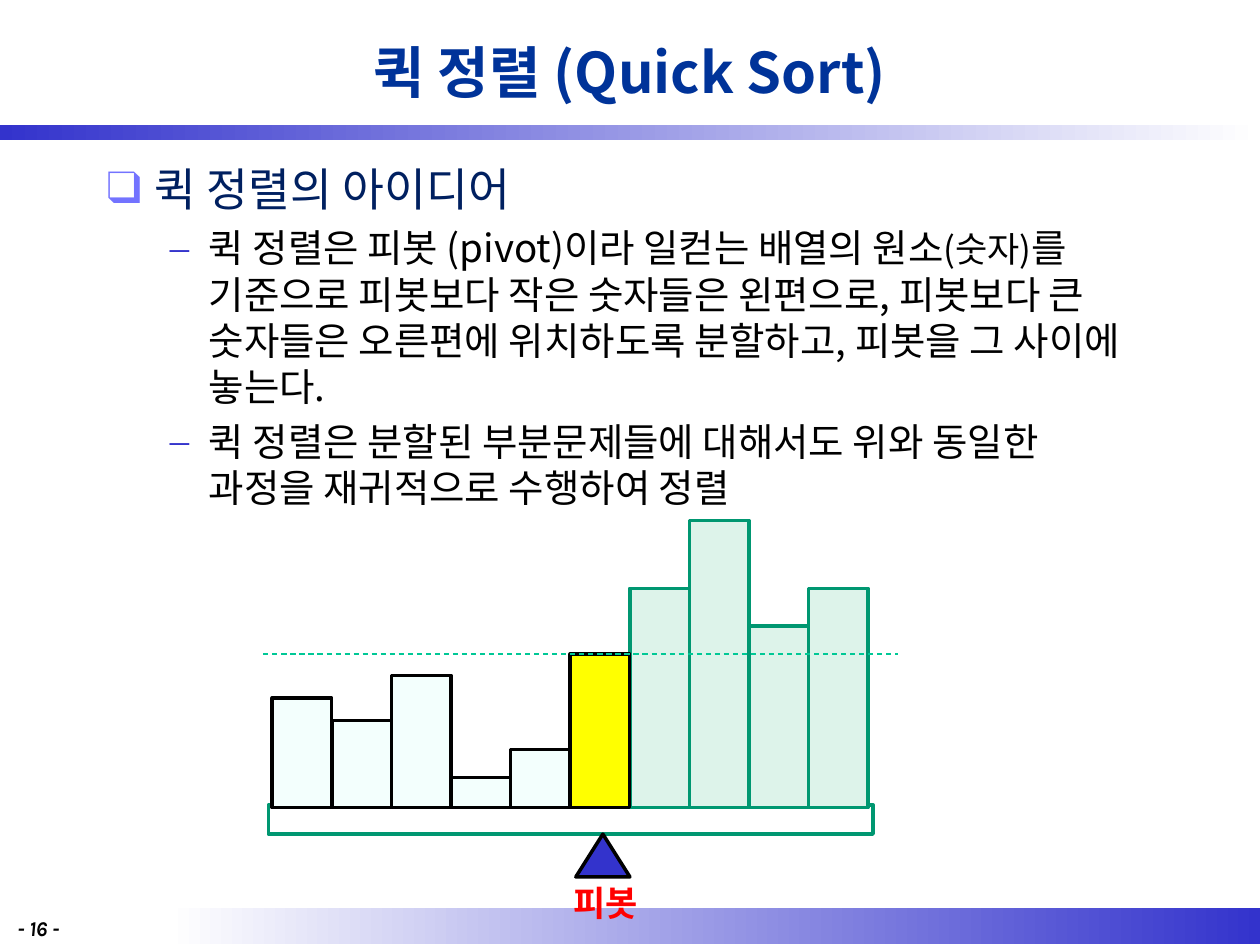
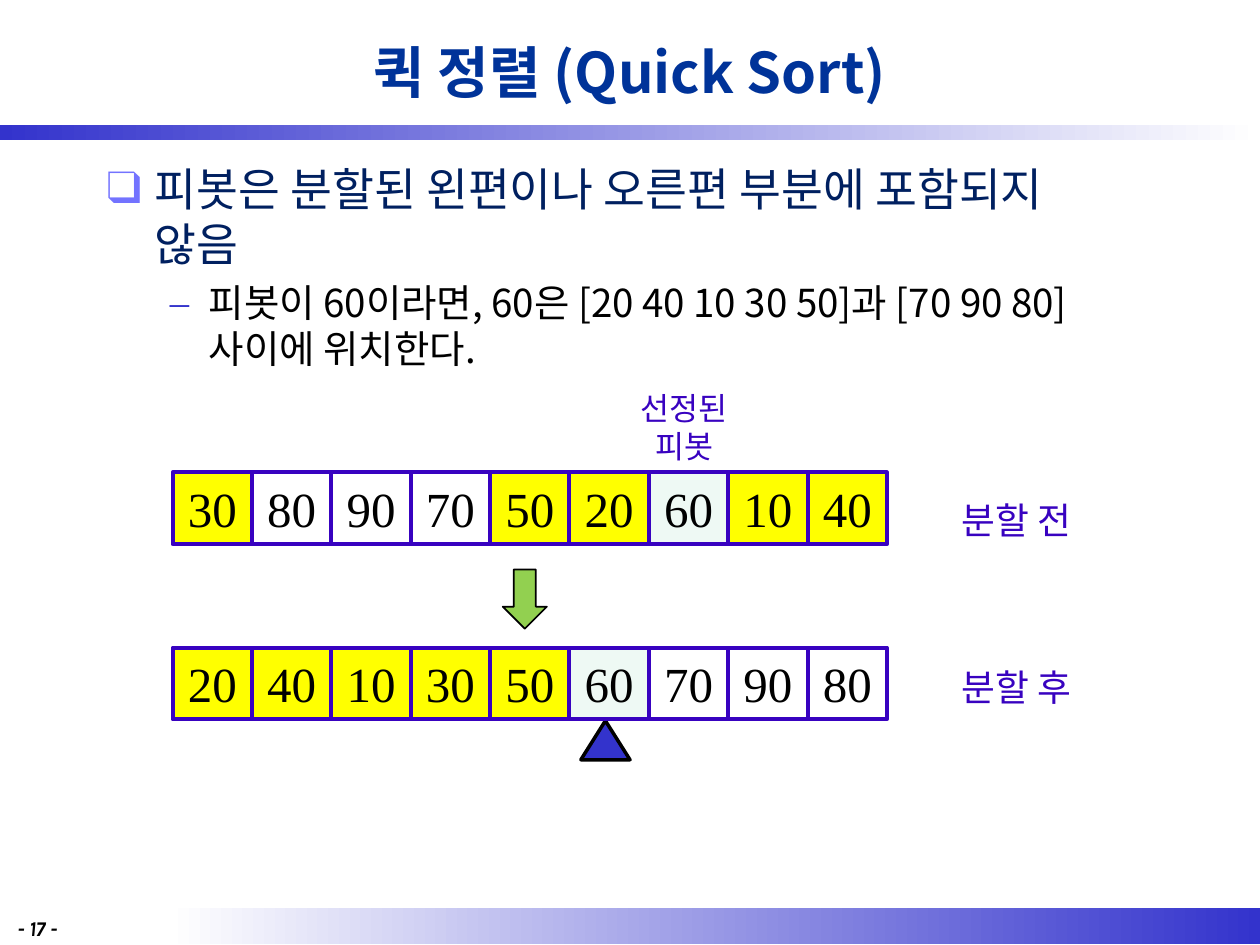
from dataclasses import dataclass
from typing import NamedTuple

from lxml.etree import SubElement
from pptx import Presentation
from pptx.dml.color import RGBColor
from pptx.enum.dml import MSO_LINE
from pptx.enum.shapes import MSO_CONNECTOR, MSO_SHAPE as Geom
from pptx.enum.text import MSO_ANCHOR as Anchor, PP_ALIGN as Align
from pptx.oxml.ns import qn
from pptx.util import Inches, Pt


@dataclass(frozen=True)
class Theme:
    sans: str = "Noto Sans CJK KR"
    serif: str = "Times New Roman"
    foot: str = "Karla"
    black: str = "000000"
    white: str = "FFFFFF"
    blue: str = "3333CC"
    title: str = "003399"
    navy: str = "002060"
    box: str = "7373FF"
    red: str = "FF0000"
    yellow: str = "FFFF00"
    violet: str = "3802C0"
    pale: str = "EEF9F4"
    ice: str = "F3FFFD"
    mint: str = "DDF3EA"
    green: str = "009771"
    dash: str = "00C896"
    arrow: str = "92D050"
    title_pt: float = 32
    head_pt: float = 26
    body_pt: float = 22
    cell_pt: float = 28
    side_pt: float = 21
    small_pt: float = 20
    label_pt: float = 18
    foot_pt: float = 12


T = Theme()


class Box(NamedTuple):
    x: float
    y: float
    w: float
    h: float

    def emu(self) -> list:
        return [Inches(v) for v in self]


class Style(NamedTuple):
    size: float
    color: str
    face: str = T.sans
    bold: bool = False
    italic: bool = False


class Level(NamedTuple):
    left: float
    hang: float
    mark: str
    tint: str
    style: Style


class Item(NamedTuple):
    """A bullet; text in `small` is set one size down."""
    level: int
    text: str
    small: str = ""


class Bar(NamedTuple):
    height: float
    fill: str
    line: str


class Row(NamedTuple):
    top: float
    values: list
    label: str
    label_y: float


LEVELS = [
    Level(0.38, 0.38, "❑", T.box, Style(T.head_pt, T.navy)),
    Level(0.81, 0.31, "–", T.blue, Style(T.body_pt, T.black)),
]
SIDE = Style(T.side_pt, T.violet, T.serif)
CELL = Style(T.cell_pt, T.black, T.serif)

LOW = [Bar(h, T.ice, T.black) for h in (0.87, 0.69, 1.05, 0.24, 0.46)]
MID = [Bar(1.22, T.yellow, T.black)]
HIGH = [Bar(h, T.mint, T.green) for h in (1.74, 2.28, 1.44, 1.74)]
BASE, BAR_X, BAR_W = 6.41, 2.16, 0.473

PIVOT = 60
CELL_X, CELL_W, CELL_H = 1.37, 0.63, 0.57
ROWS = [
    Row(3.75, [30, 80, 90, 70, 50, 20, 60, 10, 40], "분할 전", 3.9),
    Row(5.14, [20, 40, 10, 30, 50, 60, 70, 90, 80], "분할 후", 5.23),
]


def rgb(code: str) -> RGBColor:
    return RGBColor.from_string(code)


def set_font(para, style: Style) -> None:
    font = para.font
    font.size, font.name = Pt(style.size), style.face
    font.bold, font.italic = style.bold, style.italic
    font.color.rgb = rgb(style.color)


def write(frame, text: str, style: Style, align=Align.CENTER,
          anchor=Anchor.TOP) -> None:
    frame.word_wrap = True
    frame.vertical_anchor = anchor
    para = frame.paragraphs[0]
    para.text, para.alignment = text, align
    set_font(para, style)


def add_text(slide, box: Box, text: str, style: Style, **place) -> None:
    write(slide.shapes.add_textbox(*box.emu()).text_frame, text, style, **place)


def add_form(slide, geom, box: Box, fill: str | None, line: str,
             width: float = 2):
    form = slide.shapes.add_shape(geom, *box.emu())
    form.shadow.inherit = False
    if fill:
        form.fill.solid()
        form.fill.fore_color.rgb = rgb(fill)
    else:
        form.fill.background()
    form.line.color.rgb = rgb(line)
    form.line.width = Pt(width)
    return form


def add_band(slide, box: Box, *ends: str) -> None:
    band = slide.shapes.add_shape(Geom.RECTANGLE, *box.emu())
    band.shadow.inherit = False
    band.line.fill.background()
    band.fill.gradient()
    band.fill.gradient_angle = 0
    for stop, code in zip(band.fill.gradient_stops, ends):
        stop.color.rgb = rgb(code)


def set_bullet(para, level: Level) -> None:
    props = para._p.get_or_add_pPr()
    props.set("marL", str(Inches(level.left)))
    props.set("indent", str(-Inches(level.hang)))
    tint = SubElement(props, qn("a:buClr"))
    SubElement(tint, qn("a:srgbClr")).set("val", level.tint)
    SubElement(props, qn("a:buFont")).set("typeface", T.serif)
    SubElement(props, qn("a:buChar")).set("char", level.mark)


def add_list(slide, items: list[Item]) -> None:
    frame = slide.shapes.add_textbox(*Box(0.75, 1.23, 8.5, 5.98).emu()).text_frame
    frame.word_wrap = True
    for i, item in enumerate(items):
        para = frame.add_paragraph() if i else frame.paragraphs[0]
        level = LEVELS[item.level]
        para.level = item.level
        para.space_before = Pt(round(level.style.size * 0.24))
        set_bullet(para, level)
        set_font(para, level.style)
        parts = item.text.partition(item.small) if item.small else [item.text]
        for part in parts:
            for j, line in enumerate(part.split("\n")):
                if j:
                    para.add_line_break()
                run = para.add_run()
                run.text = line
                if part == item.small:
                    run.font.size = Pt(T.small_pt)


def add_page(deck, number: int, items: list[Item]):
    """Add a slide with the shared bands, title and page number."""
    slide = deck.slides.add_slide(deck.slide_layouts[6])
    add_band(slide, Box(1.33, 7.21, 8.67, 0.28), T.white, T.blue)
    add_band(slide, Box(0, 0.99, 10, 0.12), T.blue, T.white)
    add_text(slide, Box(0.75, 0.05, 8.5, 1.03), "퀵 정렬 (Quick Sort)",
             Style(T.title_pt, T.title, bold=True), anchor=Anchor.MIDDLE)
    add_list(slide, items)
    add_text(slide, Box(0.04, 7.22, 0.71, 0.24), f"- {number} -",
             Style(T.foot_pt, T.black, T.foot, True, True), align=Align.LEFT)
    return slide


def add_wedge(slide, box: Box) -> None:
    add_form(slide, Geom.ISOSCELES_TRIANGLE, box, T.blue, T.black)


def draw_bars(slide) -> None:
    add_form(slide, Geom.RECTANGLE, Box(2.13, 6.39, 4.8, 0.23), T.white, T.green)
    add_wedge(slide, Box(4.57, 6.62, 0.43, 0.34))
    for i, bar in reversed(list(enumerate(LOW + MID + HIGH))):
        box = Box(BAR_X + i * BAR_W, BASE - bar.height, BAR_W, bar.height)
        add_form(slide, Geom.RECTANGLE, box, bar.fill, bar.line)
    add_text(slide, Box(3.82, 6.95, 1.97, 0.43), "피봇",
             Style(T.small_pt, T.red, bold=True))
    y = Inches(BASE - MID[0].height)
    rule = slide.shapes.add_connector(
        MSO_CONNECTOR.STRAIGHT, Inches(2.09), y, Inches(7.13), y)
    rule.line.color.rgb = rgb(T.dash)
    rule.line.width = Pt(0.75)
    rule.line.dash_style = MSO_LINE.DASH
    SubElement(rule._element.spPr, qn("a:effectLst"))


def cell_fill(value: int) -> str | None:
    if value == PIVOT:
        return T.pale
    return T.yellow if value < PIVOT else None


def draw_rows(slide) -> None:
    add_wedge(slide, Box(4.61, 5.72, 0.39, 0.31))
    add_form(slide, Geom.DOWN_ARROW, Box(3.99, 4.52, 0.35, 0.47),
             T.arrow, T.black, 1)
    for row in ROWS:
        for i, value in enumerate(row.values):
            box = Box(CELL_X + i * CELL_W, row.top, CELL_W, CELL_H)
            cell = add_form(slide, Geom.RECTANGLE, box, cell_fill(value),
                            T.violet, 2.25)
            write(cell.text_frame, str(value), CELL)
        add_text(slide, Box(7.36, row.label_y, 1.42, 0.4), row.label, SIDE)
    add_text(slide, Box(4.92, 3.04, 1.02, 0.71), "선정된피봇",
             Style(T.label_pt, T.violet, T.serif))


def main() -> None:
    deck = Presentation()
    deck.slide_width, deck.slide_height = Inches(10), Inches(7.5)
    draw_bars(add_page(deck, 16, [
        Item(0, "퀵 정렬의 아이디어"),
        Item(1, "퀵 정렬은 피봇 (pivot)이라 일컫는 배열의 원소(숫자)를 "
                "기준으로 피봇보다 작은 숫자들은 왼편으로, 피봇보다 큰 "
                "숫자들은 오른편에 위치하도록 분할하고, 피봇을 그 사이에 "
                "놓는다.", "(숫자)"),
        Item(1, "퀵 정렬은 분할된 부분문제들에 대해서도 위와 동일한\n과정을 "
                "재귀적으로 수행하여 정렬"),
    ]))
    draw_rows(add_page(deck, 17, [
        Item(0, "피봇은 분할된 왼편이나 오른편 부분에 포함되지\n않음"),
        Item(1, "피봇이 60이라면, 60은 [20 40 10 30 50]과 [70 90 80] "
                "사이에 위치한다."),
    ]))
    deck.save("out.pptx")


if __name__ == "__main__":
    main()
